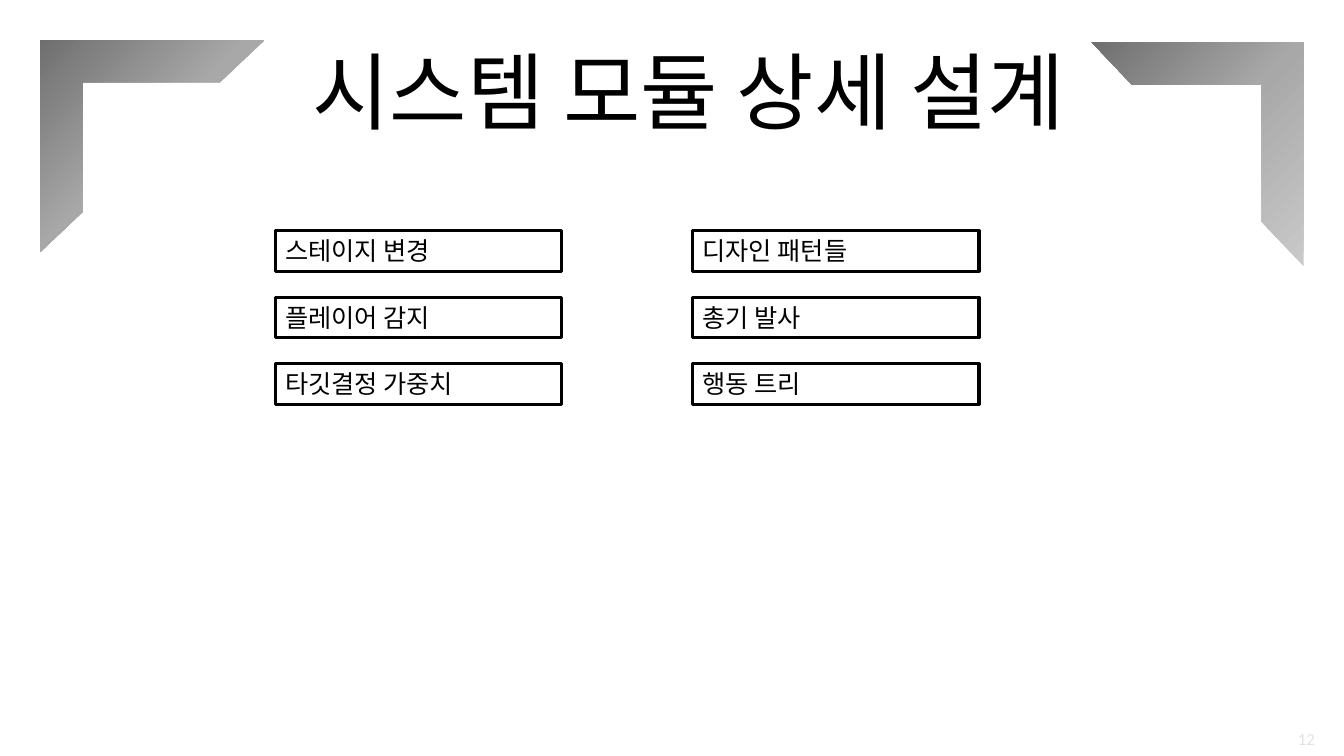
from lxml import etree
from pptx import Presentation
from pptx.dml.color import RGBColor
from pptx.enum import shapes, text
from pptx.oxml import ns
from pptx.util import Inches, Pt

TITLE = "시스템 모듈 상세 설계"
PAGE_NUMBER = "12"
MODULE_COLUMNS = [
    ["스테이지 변경", "플레이어 감지", "타깃결정 가중치"],
    ["디자인 패턴들", "총기 발사", "행동 트리"],
]
CORNERS = [(0.4, 0.4, 0, False), (10.77, 0.48, 270, True)]
CORNER_STOPS = [(0, "6F6F6F"), (48, "A8A8A8"), (100, "C9C9C9")]

BLACK = RGBColor(0x00, 0x00, 0x00)
PALE_GRAY = RGBColor(0xE2, 0xE2, 0xE2)
GRID_LEFT, GRID_TOP = 2.73, 2.29
COLUMN_STEP, ROW_STEP = 4.14, 0.66


def write(box, content, size, font, color, align, spacing=None):
    frame = box.text_frame
    frame.word_wrap = True
    frame.auto_size = text.MSO_AUTO_SIZE.SHAPE_TO_FIT_TEXT
    frame.vertical_anchor = text.MSO_ANCHOR.TOP
    frame.text = content
    para = frame.paragraphs[0]
    para.alignment = align
    if spacing:
        para.line_spacing = spacing
    span = para.runs[0]
    span.font.size = Pt(size)
    span.font.name = font
    span.font.color.rgb = color


def fill_radial(shape):
    gradient = etree.Element(ns.qn("a:gradFill"), rotWithShape="1")
    stops = etree.SubElement(gradient, ns.qn("a:gsLst"))
    for position, color in CORNER_STOPS:
        stop = etree.SubElement(stops, ns.qn("a:gs"), pos=str(position * 1000))
        etree.SubElement(stop, ns.qn("a:srgbClr"), val=color)
    circle = etree.SubElement(gradient, ns.qn("a:path"), {"path": "circle"})
    etree.SubElement(circle, ns.qn("a:fillToRect"), r="100000", b="100000")
    shape._element.spPr.find(ns.qn("a:prstGeom")).addnext(gradient)


def add_corner(page, left, top, rotation, flipped):
    corner = page.shapes.add_shape(
        shapes.MSO_SHAPE.HALF_FRAME,
        Inches(left), Inches(top), Inches(2.22), Inches(2.1))
    corner.adjustments[0] = 0.198
    corner.adjustments[1] = 0.2
    corner.rotation = rotation
    if flipped:
        transform = corner._element.spPr.find(ns.qn("a:xfrm"))
        transform.set("flipH", "1")
        transform.set("flipV", "1")
    corner.line.fill.background()
    corner.shadow.inherit = False
    fill_radial(corner)


def add_module(page, name, column, row):
    box = page.shapes.add_shape(
        shapes.MSO_SHAPE.RECTANGLE,
        Inches(GRID_LEFT + column * COLUMN_STEP),
        Inches(GRID_TOP + row * ROW_STEP), Inches(2.84), Inches(0.4))
    box.fill.background()
    box.line.color.rgb = BLACK
    box.line.width = Pt(2.25)
    box.shadow.inherit = False
    write(box, name, 18, "Calibri", BLACK, text.PP_ALIGN.LEFT)


def main():
    deck = Presentation()
    deck.slide_width, deck.slide_height = Inches(13.33), Inches(7.5)
    page = deck.slides.add_slide(deck.slide_layouts[6])

    for corner in CORNERS:
        add_corner(page, *corner)

    title = page.shapes.add_textbox(
        Inches(2.48), Inches(0.78), Inches(8.7), Inches(0.66))
    write(title, TITLE, 60, "Arial", BLACK, text.PP_ALIGN.CENTER, 0.5)

    for column, names in enumerate(MODULE_COLUMNS):
        for row, name in enumerate(names):
            add_module(page, name, column, row)

    number = page.shapes.add_textbox(
        Inches(12.34), Inches(7.18), Inches(0.8), Inches(0.3))
    write(number, PAGE_NUMBER, 12, "Calibri", PALE_GRAY, text.PP_ALIGN.RIGHT)

    deck.save("out.pptx")


if __name__ == "__main__":
    main()
